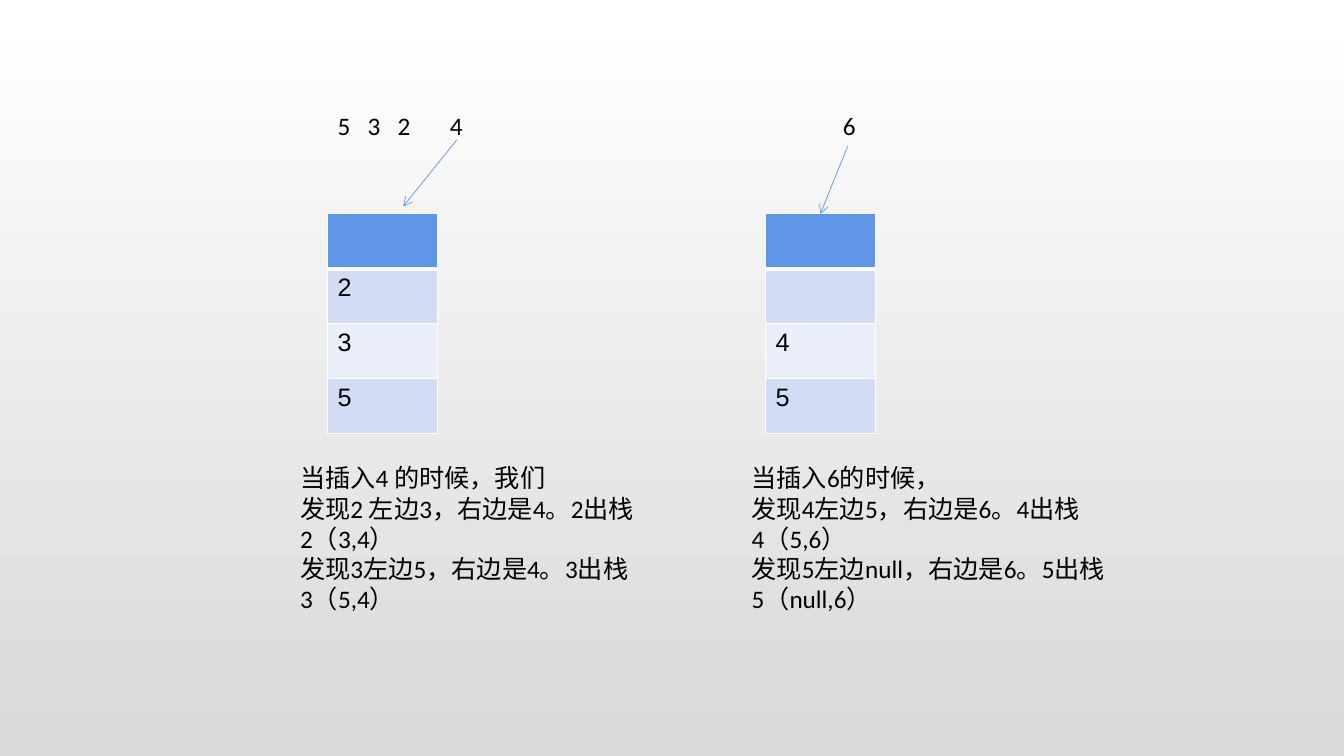
from lxml.etree import SubElement
from pptx import Presentation
from pptx.dml.color import RGBColor
from pptx.enum.shapes import MSO_CONNECTOR
from pptx.oxml.ns import qn
from pptx.util import Pt


def color(value):
    return RGBColor.from_string(value)


def write(para, text, font_format):
    span = para.add_run()
    span.text = text
    for name, value in font_format.items():
        setattr(span.font, name, value)
    span.font.color.rgb = color("000000")


BODY = {"name": "Calibri", "size": Pt(18)}
CELL = {"name": "Arial", "size": Pt(18)}
ROW_FILLS = ["6096E6", "D2DDF5", "EAEFFA", "D2DDF5"]
STACK_TOP, STACK_WIDTH, ROW_HEIGHT = 152.75, 78.5, 39.25

stacks = [
    {
        "left": 234,
        "values": ["", "2", "3", "5"],
        "arrow": (326.25, 100, 288, 147.5),
        "joined": False,
        "note_at": (207.25, 327, 400, 138),
        "note": [
            "当插入4 的时候，我们",
            "发现2 左边3，右边是4。2出栈",
            "2（3,4）",
            "发现3左边5，右边是4。3出栈",
            "3（5,4）",
        ],
    },
    {
        "left": 546.75,
        "values": ["", "", "4", "5"],
        "arrow": (605.5, 104.5, 586, 152.75),
        "joined": True,
        "note_at": (529.75, 327, 267, 116),
        "note": [
            "当插入6的时候，",
            "发现4左边5，右边是6。4出栈",
            "4（5,6）",
            "发现5左边null，右边是6。5出栈",
            "5（null,6）",
        ],
    },
]

deck = Presentation()
deck.slide_width, deck.slide_height = Pt(960), Pt(540)
page = deck.slides.add_slide(deck.slide_layouts[6])

backdrop = page.background.fill
backdrop.gradient()
backdrop.gradient_angle = 270
for stop, value in zip(backdrop.gradient_stops, ["FFFFFF", "D9D9D9"]):
    stop.color.rgb = color(value)

sequence = page.shapes.add_textbox(Pt(234), Pt(75.5), Pt(400), Pt(29))
sequence.text_frame.word_wrap = True
para = sequence.text_frame.paragraphs[0]
tabs = SubElement(para._p.get_or_add_pPr(), qn("a:tabLst"))
for position in [21.5, 43, 80.25, 361]:
    SubElement(tabs, qn("a:tab"), pos=str(Pt(position)), algn="l")
write(para, "5\t3\t2\t4\t6", BODY)

for stack in stacks:
    frame = page.shapes.add_table(
        4, 1, Pt(stack["left"]), Pt(STACK_TOP), Pt(STACK_WIDTH), Pt(4 * ROW_HEIGHT)
    )
    frame.table.horz_banding = False
    for index, (value, fill) in enumerate(zip(stack["values"], ROW_FILLS)):
        frame.table.rows[index].height = Pt(ROW_HEIGHT)
        cell = frame.table.cell(index, 0)
        heavy_side = {0: "B", 1: "T"}.get(index)
        for side in "LRTB":
            width = 3 if side == heavy_side else 1
            border = SubElement(
                cell._tc.get_or_add_tcPr(), qn(f"a:ln{side}"), w=str(Pt(width))
            )
            SubElement(SubElement(border, qn("a:solidFill")), qn("a:srgbClr"), val="FFFFFF")
        cell.fill.solid()
        cell.fill.fore_color.rgb = color(fill)
        if value:
            write(cell.text_frame.paragraphs[0], value, CELL)

    arrow = page.shapes.add_connector(
        MSO_CONNECTOR.STRAIGHT, *[Pt(length) for length in stack["arrow"]]
    )
    if stack["joined"]:
        arrow.end_connect(frame, 0)
    arrow.line.color.rgb = color("6096E6")
    arrow.line.width = Pt(0.5)
    SubElement(arrow.line._get_or_add_ln(), qn("a:tailEnd"), type="arrow")
    SubElement(arrow._element.spPr, qn("a:effectLst"))

    box = page.shapes.add_textbox(*[Pt(length) for length in stack["note_at"]])
    box.text_frame.word_wrap = True
    for index, line in enumerate(stack["note"]):
        para = box.text_frame.add_paragraph() if index else box.text_frame.paragraphs[0]
        write(para, line, BODY)

deck.save("out.pptx")
